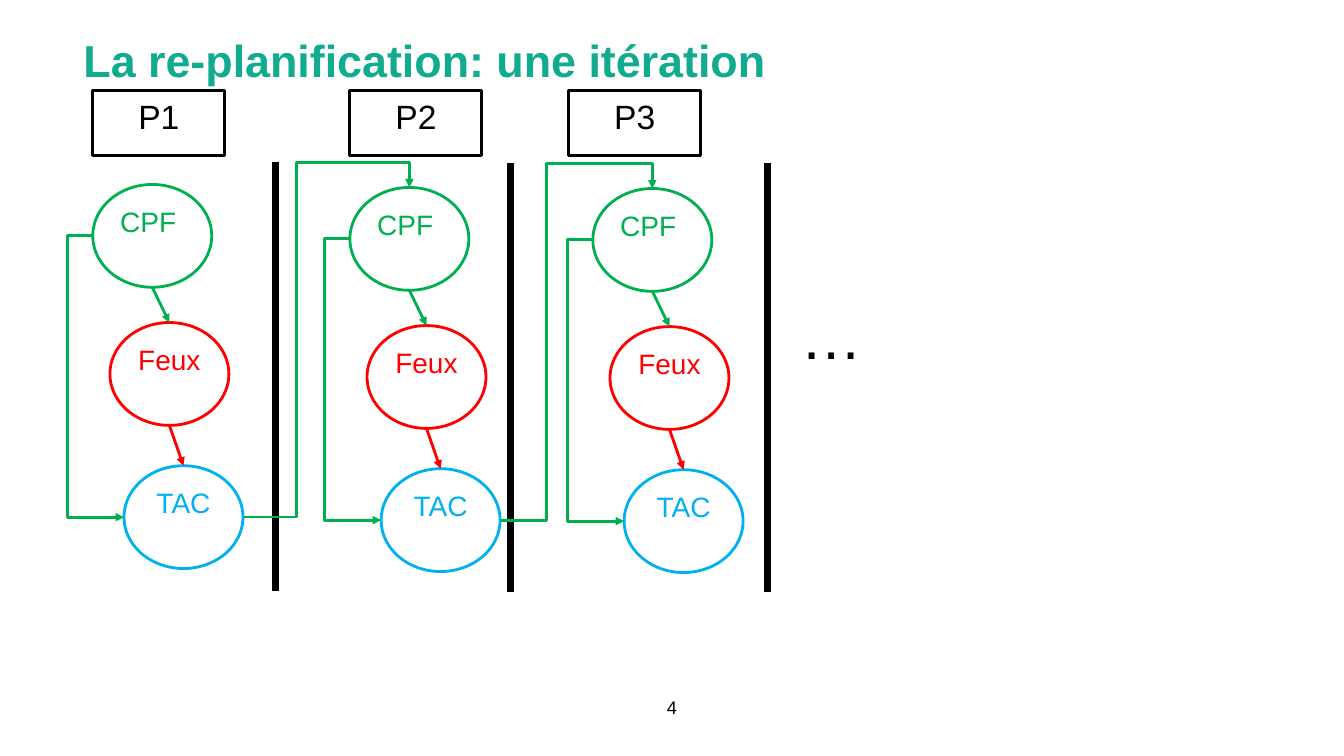
from dataclasses import dataclass

from lxml.etree import SubElement
from pptx import Presentation
from pptx.dml.color import RGBColor
from pptx.enum.shapes import MSO_CONNECTOR, MSO_SHAPE
from pptx.enum.text import MSO_ANCHOR, PP_ALIGN
from pptx.oxml.ns import qn
from pptx.util import Inches, Pt


@dataclass(frozen=True)
class Theme:
    font: str = "Arial"
    title: str = "11AB90"
    black: str = "000000"
    green: str = "00B050"
    red: str = "FF0000"
    blue: str = "00B0F0"
    title_size: int = 32
    number_size: int = 13
    node_size: int = 20
    period_size: int = 24
    ellipsis_size: int = 44
    outline: int = 2
    separator: int = 5


THEME = Theme()
NODE_WIDTH, NODE_HEIGHT = 1.18, 1.02
FEUX_OFFSET = (0.17, 1.37)
TAC_OFFSET = (0.31, 2.79)
DETOUR = 0.25
PERIODS = [
    ("P1", 0.92, (0.92, 1.83), (2.73, 1.61)),
    ("P2", 3.47, (3.47, 1.86), (5.06, 1.62)),
    ("P3", 5.64, (5.88, 1.87), (7.61, 1.62)),
]
HANDOVER_X = [2.94, 5.42]


def write_text(shape, text, size, color, align=PP_ALIGN.LEFT, anchor=MSO_ANCHOR.TOP, bold=False):
    frame = shape.text_frame
    frame.word_wrap = True
    frame.vertical_anchor = anchor
    paragraph = frame.paragraphs[0]
    paragraph.alignment = align
    run = paragraph.add_run()
    run.text = text
    run.font.name = THEME.font
    run.font.size = Pt(size)
    run.font.bold = bold
    run.font.color.rgb = RGBColor.from_string(color)


def add_label(slide, bounds, text, size, color, **style):
    box = slide.shapes.add_textbox(*map(Inches, bounds))
    write_text(box, text, size, color, **style)


def add_outlined(slide, kind, bounds, text, size, color, align=PP_ALIGN.CENTER):
    shape = slide.shapes.add_shape(kind, *map(Inches, bounds))
    shape.shadow.inherit = False
    shape.fill.background()
    shape.line.color.rgb = RGBColor.from_string(color)
    shape.line.width = Pt(THEME.outline)
    write_text(shape, text, size, color, align)


def add_node(slide, position, text, color, align=PP_ALIGN.CENTER):
    bounds = (*position, NODE_WIDTH, NODE_HEIGHT)
    add_outlined(slide, MSO_SHAPE.OVAL, bounds, text, THEME.node_size, color, align)


def add_line(slide, start, end, color, width, kind=MSO_CONNECTOR.STRAIGHT):
    line = slide.shapes.add_connector(kind, *map(Inches, (*start, *end)))
    line.line.color.rgb = RGBColor.from_string(color)
    line.line.width = Pt(width)
    SubElement(line._element.spPr, qn("a:effectLst"))
    return line


def add_arrow(slide, start, end, color, kind=MSO_CONNECTOR.STRAIGHT):
    arrow = add_line(slide, start, end, color, THEME.outline, kind)
    SubElement(arrow.line._get_or_add_ln(), qn("a:tailEnd"), type="triangle")
    return arrow


def add_bent_arrow(slide, start, end, color, preset, ratios):
    arrow = add_arrow(slide, start, end, color, MSO_CONNECTOR.ELBOW)
    geometry = arrow._element.spPr.find(qn("a:prstGeom"))
    geometry.set("prst", preset)
    guides = geometry.find(qn("a:avLst"))
    if guides is None:
        guides = SubElement(geometry, qn("a:avLst"))
    for index, ratio in enumerate(ratios, 1):
        SubElement(guides, qn("a:gd"), name=f"adj{index}", fmla=f"val {round(ratio * 100000)}")


def shift(position, offset):
    return position[0] + offset[0], position[1] + offset[1]


def top(node):
    return shift(node, (NODE_WIDTH / 2, 0))


def bottom(node):
    return shift(node, (NODE_WIDTH / 2, NODE_HEIGHT))


def left(node):
    return shift(node, (0, NODE_HEIGHT / 2))


def right(node):
    return shift(node, (NODE_WIDTH, NODE_HEIGHT / 2))


def add_period(slide, name, box_left, cpf, separator):
    feux, tac = shift(cpf, FEUX_OFFSET), shift(cpf, TAC_OFFSET)
    add_outlined(slide, MSO_SHAPE.RECTANGLE, (box_left, 0.9, 1.31, 0.64),
                 name, THEME.period_size, THEME.black)
    add_node(slide, cpf, "CPF", THEME.green, PP_ALIGN.LEFT)
    add_node(slide, feux, "Feux", THEME.red)
    add_node(slide, tac, "TAC", THEME.blue)
    add_arrow(slide, bottom(cpf), top(feux), THEME.green)
    add_arrow(slide, bottom(feux), top(tac), THEME.red)
    add_bent_arrow(slide, left(cpf), left(tac), THEME.green,
                   "bentConnector3", [-DETOUR / TAC_OFFSET[0]])
    add_line(slide, separator, shift(separator, (0, 4.25)), THEME.black, THEME.separator)


def add_handover(slide, cpf, next_cpf, bend_x):
    start, end = right(shift(cpf, TAC_OFFSET)), top(next_cpf)
    across = (bend_x - start[0]) / (end[0] - start[0])
    above = 1 + DETOUR / (start[1] - end[1])
    add_bent_arrow(slide, start, end, THEME.green, "bentConnector4", [across, above])


def main():
    presentation = Presentation()
    presentation.slide_width = Inches(13.33)
    presentation.slide_height = Inches(7.5)
    slide = presentation.slides.add_slide(presentation.slide_layouts[6])
    add_label(slide, (0.73, 0.08, 11.33, 0.83), "La re-planification: une itération",
              THEME.title_size, THEME.title, anchor=MSO_ANCHOR.BOTTOM, bold=True)
    add_label(slide, (6.3, 6.82, 0.73, 0.39), "4", THEME.number_size, THEME.black,
              align=PP_ALIGN.CENTER, anchor=MSO_ANCHOR.MIDDLE)
    for period in PERIODS:
        add_period(slide, *period)
    for current, following, bend_x in zip(PERIODS, PERIODS[1:], HANDOVER_X):
        add_handover(slide, current[2], following[2], bend_x)
    add_label(slide, (7.84, 2.91, 2.2, 0.84), "…", THEME.ellipsis_size, THEME.black)
    presentation.save("out.pptx")


if __name__ == "__main__":
    main()
